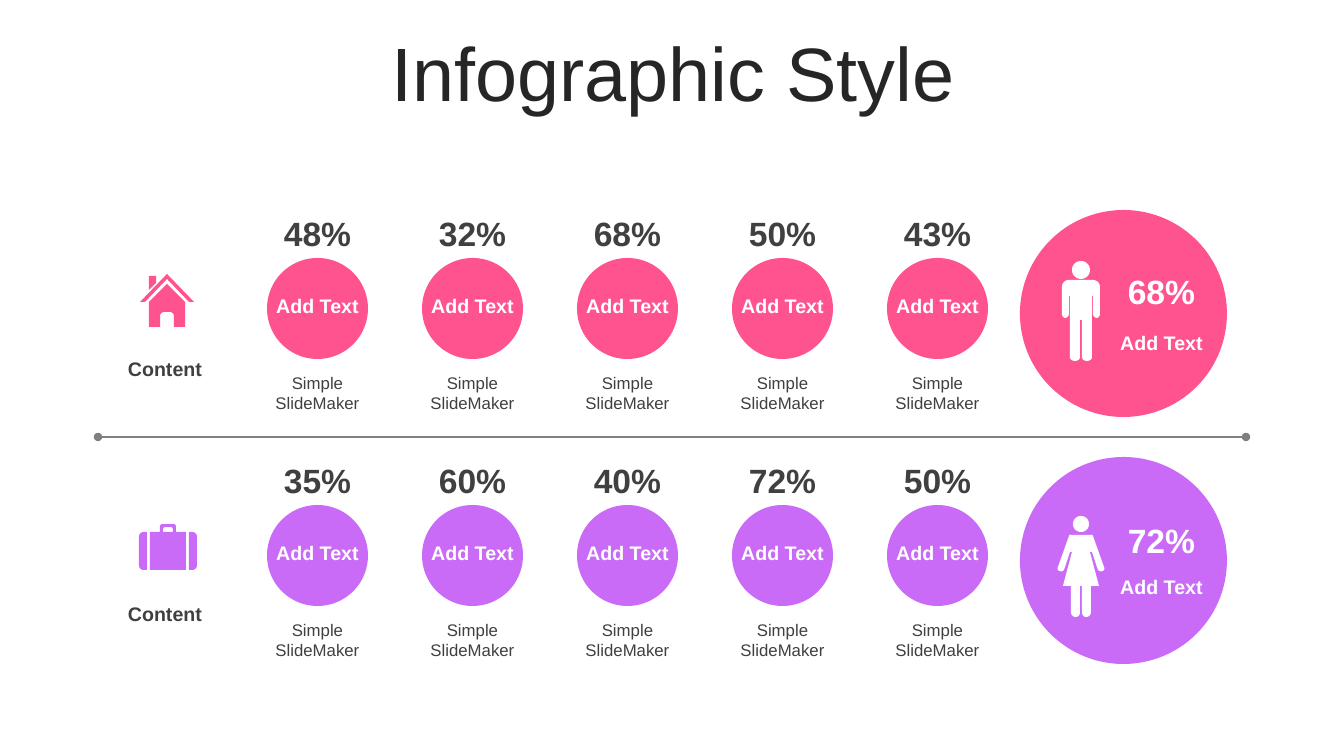
from lxml import etree
from pptx import Presentation
from pptx.dml.color import RGBColor
from pptx.enum.shapes import MSO_CONNECTOR, MSO_SHAPE
from pptx.enum.text import MSO_ANCHOR, MSO_AUTO_SIZE, PP_ALIGN
from pptx.oxml.ns import qn
from pptx.util import Pt

TITLE = "Infographic Style"
CONTENT, BUTTON, CAPTION = "Content", "Add Text", "Simple SlideMaker"

# Vertical positions are in px from the top of the slide.
ROWS = [
    {"colour": "FF5390", "top": 258, "percents": ["48%", "32%", "68%", "50%", "43%"],
     "content_top": 352, "total": "68%", "total_top": 266, "total_label_top": 326,
     "icons": ["house", "man"]},
    {"colour": "CA6BF8", "top": 505, "percents": ["35%", "60%", "40%", "72%", "50%"],
     "content_top": 597, "total": "72%", "total_top": 515, "total_label_top": 570,
     "icons": ["suitcase", "woman"]},
]

# Each icon has a vertical axis and contours of (x from axis, y) points;
# six numbers make a Bezier curve from the previous point.
# "joined" closes a half outline with its mirror image, "pair" repeats it
# on the other side, "single" leaves it alone.
ICONS = {
    "house": (167, [
        ("joined", [(0, 284), (18, 302), (18, 327), (7, 327), (7, 316),
                    (7, 314, 5, 312, 3, 312), (0, 312)]),
        ("joined", [(0, 274), (27, 302), (22, 302), (0, 279)]),
        ("single", [(-18, 276), (-11, 276), (-11, 283), (-18, 290)]),
    ]),
    "suitcase": (168, [
        ("joined", [(0, 524), (5, 524), (7, 524, 8, 525, 8, 527), (8, 532), (18, 532),
                    (18, 570), (0, 570)]),
        ("joined", [(0, 527), (3, 527), (4, 527, 5, 528, 5, 530), (5, 532), (0, 532)]),
        ("pair", [(21, 532), (24, 532), (27, 532, 29, 534, 29, 537), (29, 565),
                  (29, 568, 27, 570, 24, 570), (21, 570)]),
    ]),
    "man": (1081, [
        ("joined", [(0, 280), (12, 280), (16, 280, 19, 283, 19, 287), (19, 314),
                    (19, 316, 17, 318, 16, 318), (14, 318, 12, 316, 12, 314), (12, 296),
                    (11, 296), (11, 357), (11, 359, 9, 361, 6, 361),
                    (3, 361, 1, 359, 1, 357), (1, 320), (0, 320)]),
        ("joined", [(0, 261), (5, 261, 9, 265, 9, 270), (9, 275, 5, 279, 0, 279)]),
    ]),
    "woman": (1081, [
        ("joined", [(0, 535), (8, 535), (11, 535, 11, 534, 12, 536), (23, 567),
                    (24, 569, 23, 571, 21, 571), (20, 572, 18, 571, 17, 570), (11, 552),
                    (9, 552), (18, 586), (10, 586), (10, 612), (10, 615, 8, 617, 5, 617),
                    (3, 617, 1, 615, 1, 612), (1, 586), (0, 586)]),
        ("joined", [(0, 516), (5, 516, 8, 520, 8, 524), (8, 528, 5, 532, 0, 532)]),
    ]),
}

DARK, WHITE, GREY = "404040", "FFFFFF", "808080"
PERCENT = {"size": Pt(24), "bold": True}
LABEL = {"size": Pt(14), "bold": True}
SMALL = {"size": Pt(12), "bold": False}

EMU_PER_PX = 914400 / 100.8
CIRCLE, COLUMN_LEFT, COLUMN_PITCH = 101, 267, 155
CURVE_STEPS = 8


def px(length):
    return round(length * EMU_PER_PX)


def rgb(colour):
    return RGBColor.from_string(colour)


def write(frame, text, font, colour, align=PP_ALIGN.CENTER):
    paragraph = frame.paragraphs[0]
    paragraph.text = text
    paragraph.alignment = align
    for name, value in {"name": "Arial", **font}.items():
        setattr(paragraph.font, name, value)
    paragraph.font.color.rgb = rgb(colour)
    return paragraph


def add_text(slide, box, text, font, colour, anchor=MSO_ANCHOR.TOP, align=PP_ALIGN.CENTER):
    frame = slide.shapes.add_textbox(*map(px, box)).text_frame
    settings = {"word_wrap": True, "vertical_anchor": anchor,
                "auto_size": MSO_AUTO_SIZE.SHAPE_TO_FIT_TEXT}
    for name, value in settings.items():
        setattr(frame, name, value)
    write(frame, text, font, colour, align)


def paint(shape, colour):
    shape.shadow.inherit = False
    shape.fill.solid()
    shape.fill.fore_color.rgb = rgb(colour)
    shape.line.fill.background()


def add_circle(slide, left, top, size, colour):
    paint(slide.shapes.add_shape(MSO_SHAPE.OVAL, *map(px, (left, top, size, size))), colour)


def flatten(contour):
    """Turn the curves of a contour into short straight steps."""
    points = []
    for step in contour:
        if len(step) == 2:
            points.append(step)
            continue
        start, controls = points[-1], (step[:2], step[2:4], step[4:])
        for number in range(1, CURVE_STEPS + 1):
            t = number / CURVE_STEPS
            weights = ((1 - t) ** 3, 3 * t * (1 - t) ** 2, 3 * t * t * (1 - t), t ** 3)
            points.append(tuple(sum(weight * point[axis] for weight, point
                                    in zip(weights, (start, *controls))) for axis in (0, 1)))
    return points


def outlines(mode, contour):
    points = flatten(contour)
    mirrored = [(-x, y) for x, y in reversed(points)]
    return {"joined": [points + mirrored], "pair": [points, mirrored],
            "single": [points]}[mode]


def add_icon(slide, name, colour):
    axis, contours = ICONS[name]
    builder = None
    for mode, contour in contours:
        for outline in outlines(mode, contour):
            start, *rest = [(px(axis + x), px(y)) for x, y in outline]
            if builder is None:
                builder = slide.shapes.build_freeform(*start)
            else:
                builder.move_to(*start)
            builder.add_line_segments(rest, close=True)
    paint(builder.convert_to_shape(), colour)


def add_divider(slide, left, right, y):
    line = slide.shapes.add_connector(MSO_CONNECTOR.STRAIGHT, *map(px, (left, y, right, y)))
    line.line.color.rgb = rgb(GREY)
    line.line.width = Pt(2)
    outline = line.line._get_or_add_ln()
    for end in ("a:headEnd", "a:tailEnd"):
        etree.SubElement(outline, qn(end), type="oval")
    etree.SubElement(outline.getparent(), qn("a:effectLst"))


def add_title(slide):
    title = slide.shapes.title
    for name, value in {"left": 35, "top": 37, "width": 1276, "height": 80}.items():
        setattr(title, name, px(value))
    title.text_frame.vertical_anchor = MSO_ANCHOR.MIDDLE
    title.text_frame.auto_size = MSO_AUTO_SIZE.NONE
    write(title.text_frame, TITLE, {"size": Pt(54)}, "262626").line_spacing = 0.9


def add_row(slide, row):
    colour, top = row["colour"], row["top"]
    middle = MSO_ANCHOR.MIDDLE
    add_text(slide, (118, row["content_top"], 102, 34), CONTENT, LABEL, DARK,
             middle, PP_ALIGN.LEFT)
    for column, percent in enumerate(row["percents"]):
        left = COLUMN_LEFT + column * COLUMN_PITCH
        add_circle(slide, left, top, CIRCLE, colour)
        add_text(slide, (left - 1, top - 50, 103, 50), percent, PERCENT, DARK, middle)
        add_text(slide, (left - 13, top + 31, 127, 34), BUTTON, LABEL, WHITE)
        add_text(slide, (left - 13, top + 110, 127, 50), CAPTION, SMALL, DARK)
    add_circle(slide, 1020, top - 48, 207, colour)
    add_text(slide, (1110, row["total_top"], 103, 50), row["total"], PERCENT, WHITE, middle)
    add_text(slide, (1098, row["total_label_top"], 127, 34), BUTTON, LABEL, WHITE)
    for icon, icon_colour in zip(row["icons"], (colour, WHITE)):
        add_icon(slide, icon, icon_colour)


def main():
    presentation = Presentation()
    presentation.slide_width, presentation.slide_height = px(1344), px(756)
    slide = presentation.slides.add_slide(presentation.slide_layouts[5])
    add_title(slide)
    for row in ROWS:
        add_row(slide, row)
    add_divider(slide, 98, 1246, 437)
    presentation.save("out.pptx")


if __name__ == "__main__":
    main()
